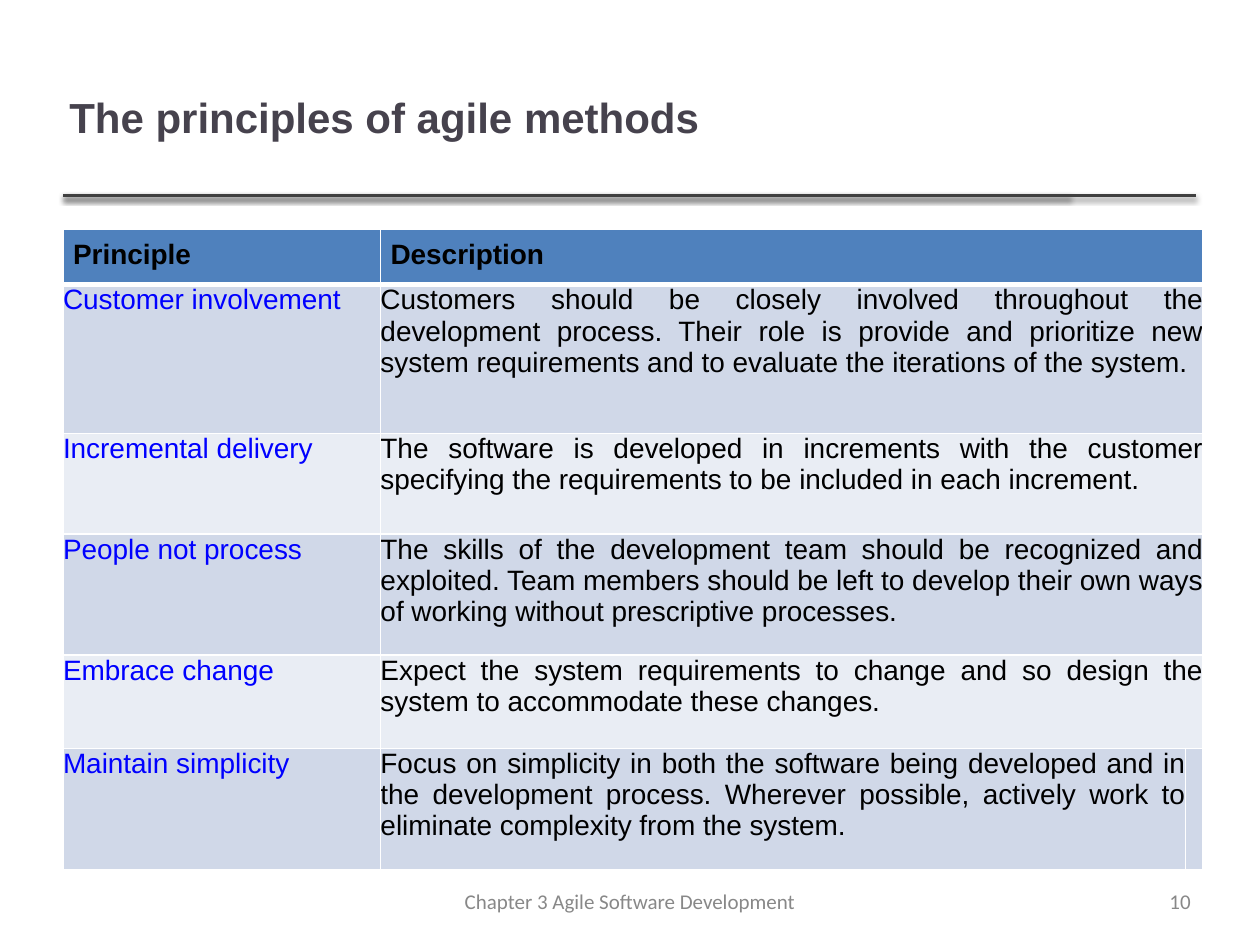
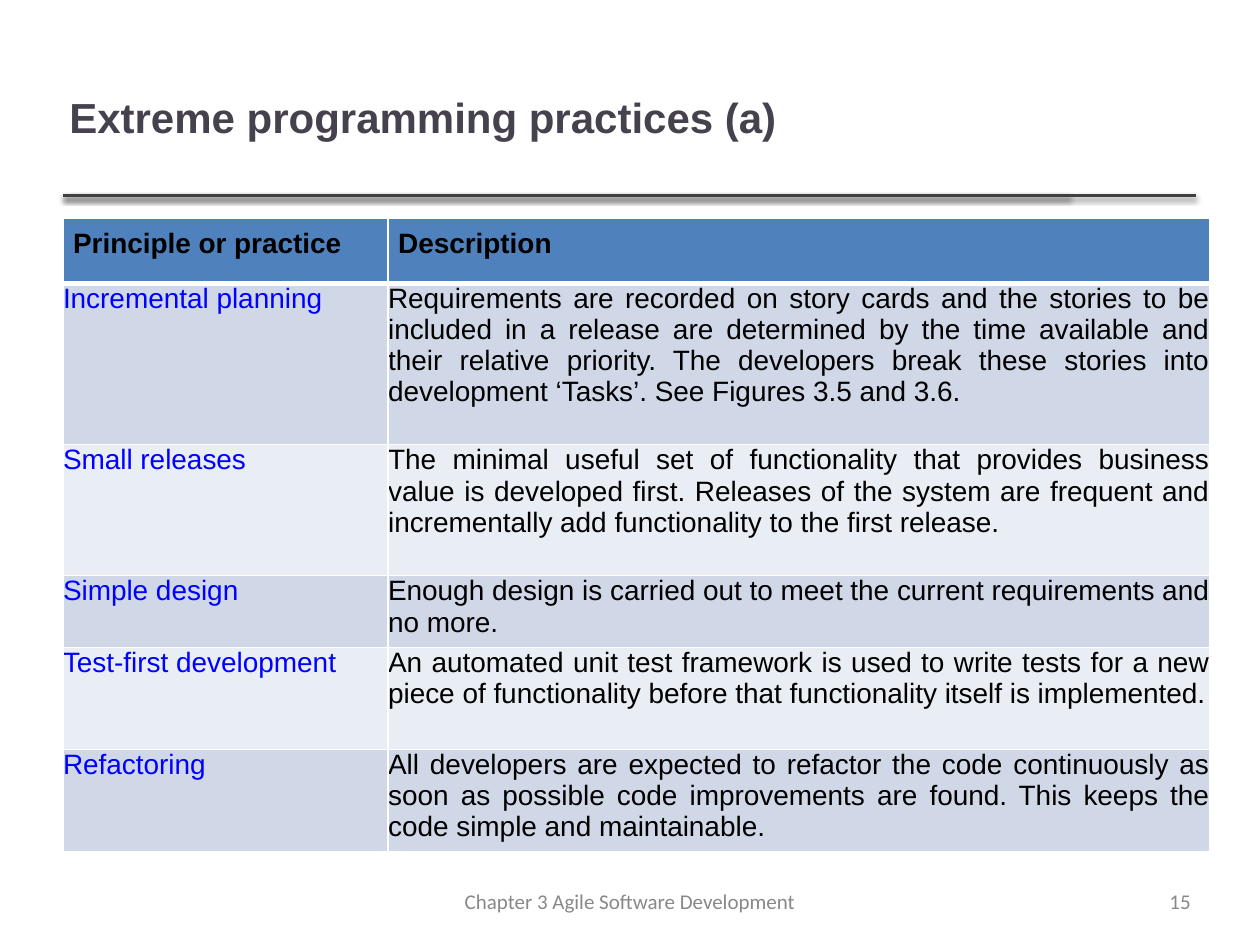
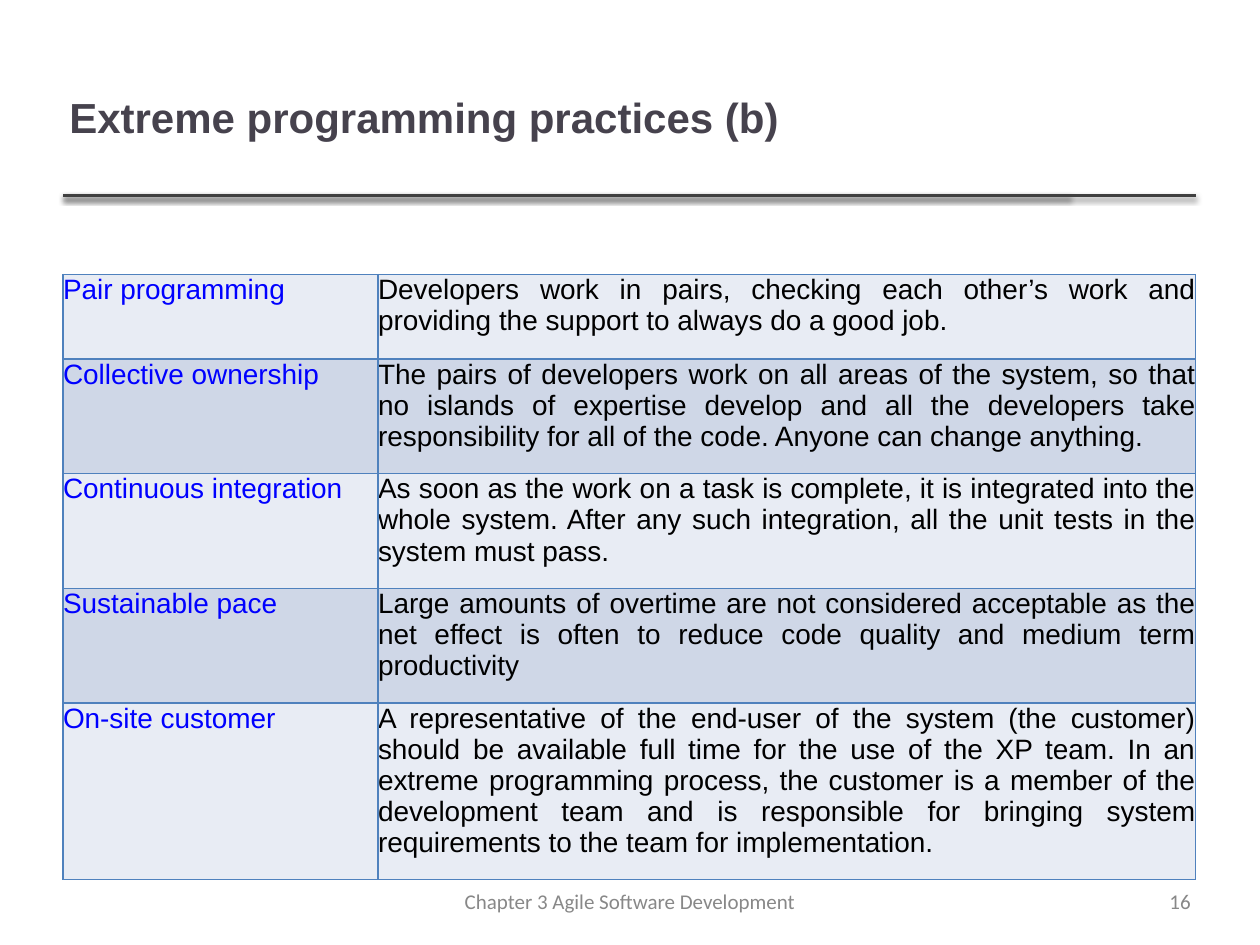
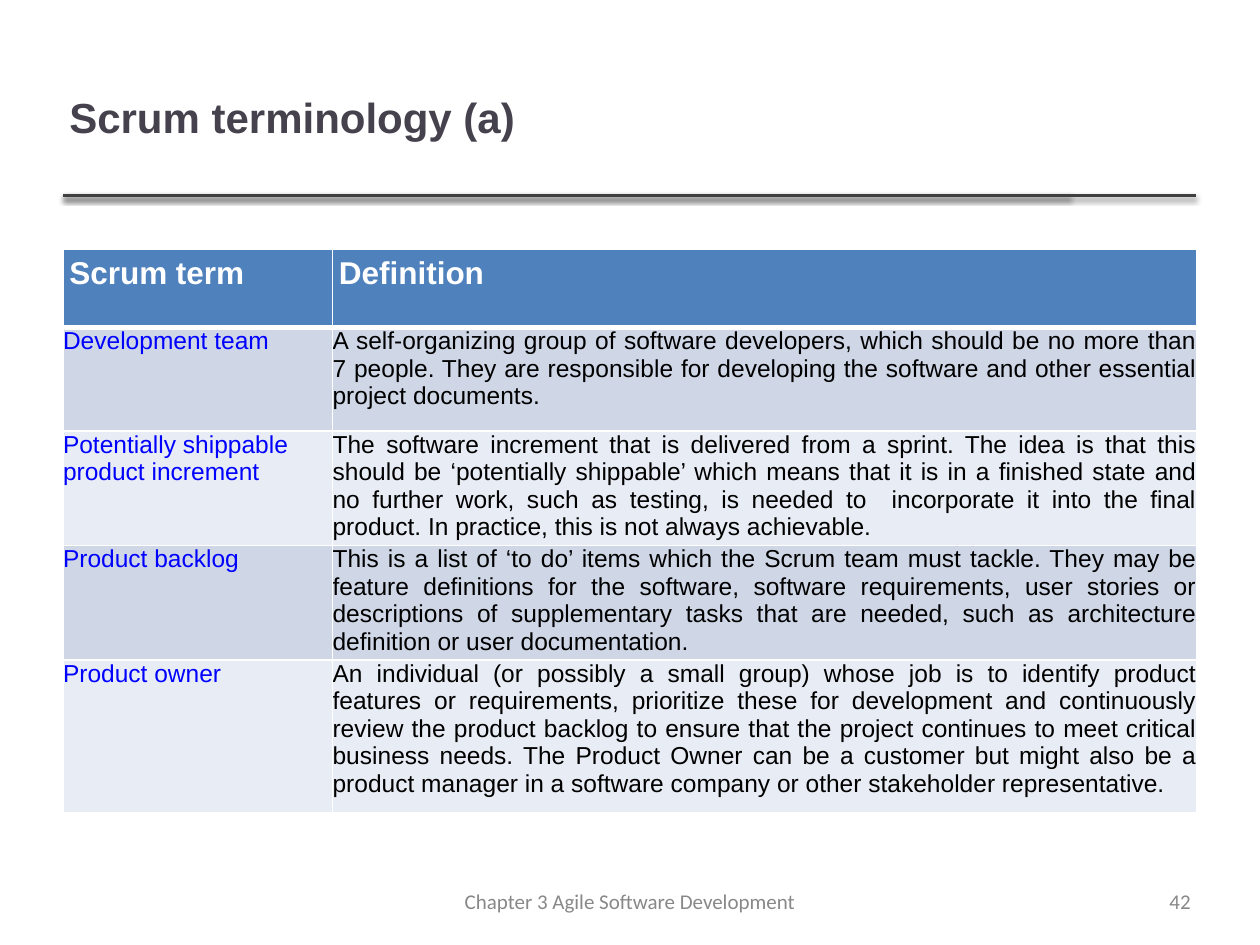
from dataclasses import dataclass

from lxml import etree
from pptx import Presentation
from pptx import util as u
from pptx.dml.color import RGBColor
from pptx.enum import shapes, text
from pptx.oxml import ns


@dataclass(frozen=True)
class Theme:
    """Colours, fonts and type sizes of the deck."""
    rule: str = "404040"
    title: str = "46424D"
    footer: str = "888888"
    accent: str = "4F81BD"
    white: str = "FFFFFF"
    black: str = "000000"
    term: str = "0000FF"
    warm_bands: tuple = ("D0D8E8", "E9EDF4")
    cool_bands: tuple = ("CFD7E7", "E8ECF4")
    head_font: str = "Arial"
    foot_font: str = "Calibri"
    title_size: int = 24
    footer_size: int = 12
    large: int = 18
    body: int = 16
    small: int = 14


@dataclass(frozen=True)
class Box:
    """A region of the slide, in inches."""
    x: float
    y: float
    w: float = 0
    h: float = 0

    def emu(self):
        """Return the four lengths for a shape call."""
        return [u.Inches(v) for v in (self.x, self.y, self.w, self.h)]


@dataclass(frozen=True)
class Look:
    """The format of one table."""
    bands: tuple = Theme.warm_bands
    border: str = Theme.white
    size: int = Theme.body
    term_align: int = text.PP_ALIGN.JUSTIFY
    head_size: int = Theme.body
    head_color: str = Theme.black
    head_margin: float = 0.08


T = Theme()
HEADER = Box(0.5, 0.3, 8.99, 1.25)
FOOTER = Box(0.5, 7.02, 9, 0.27)
CHAPTER = "Chapter 3 Agile Software Development"
MARGINS = ("margin_left", "margin_top", "margin_right", "margin_bottom")
EDGES = ("lnL", "lnR", "lnT", "lnB")


def apply(obj, values):
    """Set each named attribute on an object."""
    for name, value in values.items():
        setattr(obj, name, value)


def write(tf, words, align, color, size, name=T.head_font, bold=False):
    """Write one formatted run in a text frame."""
    p = tf.paragraphs[0]
    p.alignment = align
    r = p.add_run()
    r.text = words
    apply(r.font, {"size": u.Pt(size), "name": name, "bold": bold})
    r.font.color.rgb = RGBColor.from_string(color)


def add_text(s, box, words, align, *style, wrap=True,
             fit=text.MSO_AUTO_SIZE.SHAPE_TO_FIT_TEXT):
    """Add a text box centred vertically."""
    tf = s.shapes.add_textbox(*box.emu()).text_frame
    apply(tf, {"word_wrap": wrap, "auto_size": fit,
               "vertical_anchor": text.MSO_ANCHOR.MIDDLE,
               **dict.fromkeys(MARGINS, u.Inches(0.05))})
    write(tf, words, align, *style)


def add_rule(s, x, y, width):
    """Add a horizontal rule with a soft shadow."""
    sp = s.shapes.add_connector(
        shapes.MSO_CONNECTOR.STRAIGHT,
        *[u.Inches(v) for v in (x, y, x + width, y)])
    sp.line.color.rgb = RGBColor.from_string(T.rule)
    sp.line.width = u.Pt(2)
    effects = etree.SubElement(sp._element.spPr, ns.qn("a:effectLst"))
    shadow = etree.SubElement(
        effects, ns.qn("a:outerShdw"), blurRad=str(u.Pt(3)),
        dist=str(u.Pt(1.6)), dir="5400000", rotWithShape="0")
    color = etree.SubElement(shadow, ns.qn("a:srgbClr"), val=T.black)
    etree.SubElement(color, ns.qn("a:alpha"), val="38000")


def add_header(s, box, title):
    """Add the title and the rules under it."""
    for width in (box.w - 1, box.w):
        add_rule(s, box.x, box.y + box.h, width)
    add_text(s, Box(box.x, box.y, box.w - 1.01, box.h), title,
             text.PP_ALIGN.LEFT, T.title, T.title_size, T.head_font, True,
             fit=text.MSO_AUTO_SIZE.NONE)


def add_footer(s, box, number):
    """Add the chapter name and the slide number."""
    style = (T.footer, T.footer_size, T.foot_font)
    chapter_w, number_w = 3.07, 0.28
    add_text(s, Box(box.x + (box.w - chapter_w) / 2, box.y, chapter_w, box.h),
             CHAPTER, text.PP_ALIGN.CENTER, *style)
    add_text(s, Box(box.x + box.w - number_w, box.y, number_w, box.h),
             str(number), text.PP_ALIGN.RIGHT, *style, wrap=False)


def style_cell(cell, fill, border, margin, heavy=None):
    """Set the borders, fill and margins of a cell."""
    tc_pr = cell._tc.get_or_add_tcPr()
    for edge in EDGES:
        ln = etree.SubElement(tc_pr, ns.qn(f"a:{edge}"),
                              w=str(u.Pt(3 if edge == heavy else 1)))
        paint = etree.SubElement(ln, ns.qn("a:solidFill"))
        etree.SubElement(paint, ns.qn("a:srgbClr"), val=border)
    cell.fill.solid()
    cell.fill.fore_color.rgb = RGBColor.from_string(fill)
    apply(cell, dict.fromkeys(MARGINS, u.Inches(margin)))


def add_terms(s, box, cols, heights, head, rows, look):
    """Add a table of terms and descriptions, with an optional head row."""
    lines = ([head] if head else []) + rows
    table = s.shapes.add_table(len(lines), len(cols), *box.emu()).table
    apply(table, {"first_row": bool(head), "horz_banding": False})
    for col, width in zip(table.columns, cols):
        col.width = u.Inches(width)
    for i, (line, height) in enumerate(zip(lines, heights)):
        table.rows[i].height = u.Inches(height)
        is_head = bool(head) and i == 0
        fill = T.accent if is_head else look.bands[(i + 1) % 2]
        heavy = ("lnB" if is_head else "lnT") if head and i < 2 else None
        for j in range(len(cols)):
            style_cell(table.cell(i, j), fill, look.border,
                       look.head_margin if is_head else 0, heavy)
        if len(cols) > 2 and i < len(lines) - 1:
            table.cell(i, 1).merge(table.cell(i, len(cols) - 1))
        for j, words in enumerate(line):
            tf = table.cell(i, j).text_frame
            align = look.term_align
            if is_head:
                write(tf, words, align, look.head_color, look.head_size,
                      bold=True)
            else:
                write(tf, words, text.PP_ALIGN.JUSTIFY if j else align,
                      T.black if j else T.term, look.size)


def add_slide(prs, title, number, *table):
    """Add one slide with its header, table and footer."""
    s = prs.slides.add_slide(prs.slide_layouts[6])
    add_header(s, HEADER, title)
    add_terms(s, *table)
    add_footer(s, FOOTER, number)


SLIDES = [
    ("The principles of agile methods", 10, Box(0.5, 1.82, 9.05, 5.1),
     (2.52, 6.39, 0.14), (0.44, 1.18, 0.8, 0.96, 0.74, 0.96),
     ("Principle", "Description"), [
         ("Customer involvement",
          "Customers should be closely involved throughout the development "
          "process. Their role is provide and prioritize new system "
          "requirements and to evaluate the iterations of the system."),
         ("Incremental delivery",
          "The software is developed in increments with the customer "
          "specifying the requirements to be included in each increment."),
         ("People not process",
          "The skills of the development team should be recognized and "
          "exploited. Team members should be left to develop their own ways "
          "of working without prescriptive processes."),
         ("Embrace change",
          "Expect the system requirements to change and so design the system "
          "to accommodate these changes."),
         ("Maintain simplicity",
          "Focus on simplicity in both the software being developed and in "
          "the development process. Wherever possible, actively work to "
          "eliminate complexity from the system."),
     ], Look()),
    ("Extreme programming practices (a)", 15, Box(0.5, 1.73, 9.1, 5.02),
     (2.58, 6.52), (0.52, 1.28, 1.04, 0.57, 0.81, 0.81),
     ("Principle or practice", "Description"), [
         ("Incremental planning",
          "Requirements are recorded on story cards and the stories to be "
          "included in a release are determined by the time available and "
          "their relative priority. The developers break these stories into "
          "development ‘Tasks’. See Figures 3.5 and 3.6."),
         ("Small releases",
          "The minimal useful set of functionality that provides business "
          "value is developed first. Releases of the system are frequent and "
          "incrementally add functionality to the first release."),
         ("Simple design",
          "Enough design is carried out to meet the current requirements and "
          "no more."),
         ("Test-first development",
          "An automated unit test framework is used to write tests for a new "
          "piece of functionality before that functionality itself is "
          "implemented."),
         ("Refactoring",
          "All developers are expected to refactor the code continuously as "
          "soon as possible code improvements are found. This keeps the code "
          "simple and maintainable."),
     ], Look()),
    ("Extreme programming practices (b)", 16, Box(0.5, 2.18, 8.99, 4.8),
     (2.5, 6.49), (0.67, 0.91, 0.91, 0.91, 1.4), None, [
         ("Pair programming",
          "Developers work in pairs, checking each other’s work and "
          "providing the support to always do a good job."),
         ("Collective ownership",
          "The pairs of developers work on all areas of the system, so that "
          "no islands of expertise develop and all the developers take "
          "responsibility for all of the code. Anyone can change anything."),
         ("Continuous integration",
          "As soon as the work on a task is complete, it is integrated into "
          "the whole system. After any such integration, all the unit tests "
          "in the system must pass."),
         ("Sustainable pace",
          "Large amounts of overtime are not considered acceptable as the "
          "net effect is often to reduce code quality and medium term "
          "productivity"),
         ("On-site customer",
          "A representative of the end-user of the system (the customer) "
          "should be available full time for the use of the XP team. In an "
          "extreme programming process, the customer is a member of the "
          "development team and is responsible for bringing system "
          "requirements to the team for implementation."),
     ], Look(bands=T.cool_bands, border=T.accent)),
    ("Scrum terminology (a)", 42, Box(0.5, 1.98, 9, 4.46),
     (2.14, 6.86), (0.62, 0.82, 0.91, 0.91, 1.21),
     ("Scrum term", "Definition"), [
         ("Development team",
          "A self-organizing group of software developers, which should be "
          "no more than 7 people. They are responsible for developing the "
          "software and other essential project documents."),
         ("Potentially shippable product increment",
          "The software increment that is delivered from a sprint. The idea "
          "is that this should be ‘potentially shippable’ which means that "
          "it is in a finished state and no further work, such as testing, "
          "is needed to  incorporate it into the final product. In practice, "
          "this is not always achievable."),
         ("Product backlog",
          "This is a list of ‘to do’ items which the Scrum team must tackle. "
          "They may be feature definitions for the software, software "
          "requirements, user stories or descriptions of supplementary tasks "
          "that are needed, such as architecture definition or user "
          "documentation."),
         ("Product owner",
          "An individual (or possibly a small group) whose job is to "
          "identify product features or requirements, prioritize these for "
          "development and continuously review the product backlog to ensure "
          "that the project continues to meet critical business needs. The "
          "Product Owner can be a customer but might also be a product "
          "manager in a software company or other stakeholder "
          "representative."),
     ], Look(bands=T.cool_bands, size=T.small, head_size=T.large,
             term_align=text.PP_ALIGN.LEFT, head_color=T.white,
             head_margin=0.05)),
]


def main():
    """Build the deck and save it."""
    prs = Presentation()
    apply(prs, {"slide_width": u.Inches(10), "slide_height": u.Inches(7.5)})
    for slide in SLIDES:
        add_slide(prs, *slide)
    prs.save("out.pptx")


if __name__ == "__main__":
    main()
